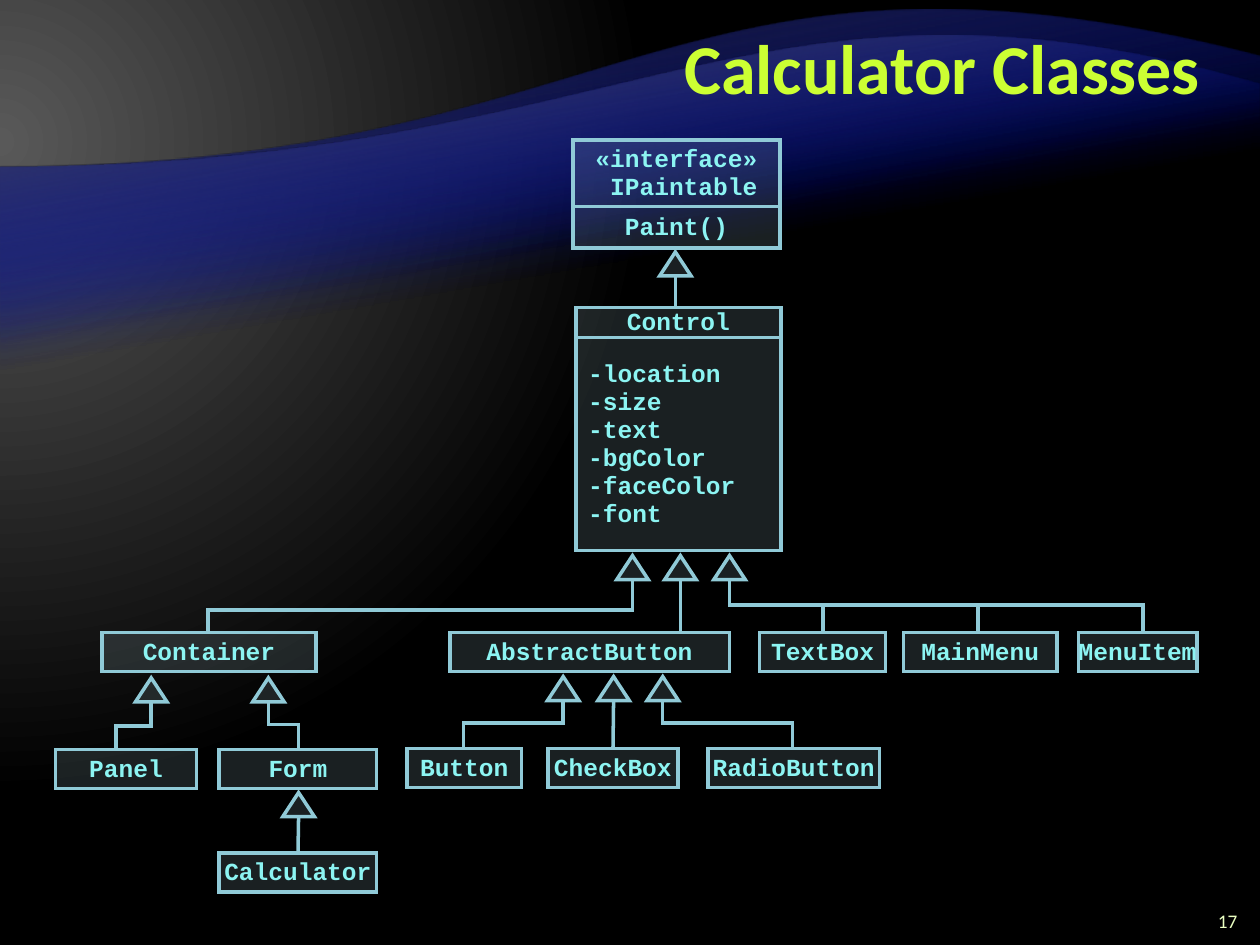
from lxml import etree
from pptx import Presentation
from pptx.dml.color import RGBColor
from pptx.enum.shapes import MSO_CONNECTOR, MSO_SHAPE
from pptx.enum.text import MSO_ANCHOR, PP_ALIGN
from pptx.oxml.ns import qn
from pptx.util import Inches, Pt

RECT, TRIANGLE = MSO_SHAPE.RECTANGLE, MSO_SHAPE.ISOSCELES_TRIANGLE
STRAIGHT = MSO_CONNECTOR.STRAIGHT
MIDDLE = MSO_ANCHOR.MIDDLE
LEFT, CENTER, RIGHT = PP_ALIGN.LEFT, PP_ALIGN.CENTER, PP_ALIGN.RIGHT

# Content: key -> (left, top, width, height, lines)
ROW_H, ROW1, ROW2, ROW3 = 0.31, 5.02, 5.95, 6.77
TITLE = "Calculator Classes "
PAGE = "17"
DETAILED = {
    "Paint()": (4.55, 1.64, 1.64, 0.33, ["Paint()"]),
    "IPaintable": (4.55, 1.11, 1.64, 0.53, ["«interface»", " IPaintable"]),
    "Fields": (4.57, 2.68, 1.63, 1.69,
               ["-location", "-size", "-text", "-bgColor", "-faceColor", "-font"]),
    "Control": (4.57, 2.44, 1.63, 0.24, ["Control"]),
}
# Single-line classes: name, left, top, width
SIMPLE = [
    ("Container", 0.81, ROW1, 1.7),
    ("AbstractButton", 3.57, ROW1, 2.22),
    ("TextBox", 6.03, ROW1, 1),
    ("MainMenu", 7.17, ROW1, 1.22),
    ("MenuItem", 8.56, ROW1, 0.94),
    ("Panel", 0.44, ROW2, 1.12),
    ("Form", 1.74, ROW2, 1.25),
    ("Button", 3.23, ROW2 - 0.01, 0.91),
    ("CheckBox", 4.35, ROW2 - 0.01, 1.03),
    ("RadioButton", 5.62, ROW2 - 0.01, 1.36),
    ("Calculator", 1.74, ROW3, 1.25),
]
CLASSES = DETAILED | {n: (x, y, w, ROW_H, [n]) for n, x, y, w in SIMPLE}

# Straight inheritance arrows: child, arrow centre x, arrow tip y
STRAIGHT_ARROWS = [("Control", 5.36, 2), ("AbstractButton", 5.4, 4.41),
                   ("CheckBox", 4.87, 5.37), ("Calculator", 2.37, 6.29)]
# Bent arrows: child, arrow centre x, arrow tip y, bend y, x where it meets the child
BENT_ARROWS = [
    ("Container", 5.02, 4.41, 4.84, 1.65),
    ("MenuItem", 5.79, 4.41, 4.8, 9.07),
    ("Panel", 1.2, 5.38, 5.76, 0.92),
    ("Form", 2.13, 5.38, 5.75, 2.37),
    ("Button", 4.47, 5.37, 5.74, 3.68),
    ("RadioButton", 5.26, 5.37, 5.74, 6.29),
]
BRANCHES = [("TextBox", 6.53), ("MainMenu", 7.76)]
BRANCH_Y = 4.8
HEAD_W, HEAD_H = 0.25, 0.19

# Background waves: Bezier points of the top edge, bottom y, top colour
WAVES = [
    ([(0, 1.33), (5, 1.33), (5.34, -0.75), (10, 0.45)], 6.53, "262626"),
    ([(0, 1.33), (5, 1.33), (5.98, -0.49), (10, 0.67)], 5.57, "595959"),
] * 2

THEME = {
    "title": ("Calibri", 40, "CCFF33", True),
    "page": ("Calibri", 11, "EBFFC2", False),
    "class": ("Courier New", 14, "8CF4F2", True),
    "line": "90CAD7", "line_w": 2, "fill": "B5DBE5", "fill_alpha": 15,
    "wave": "000D9E", "bg": [(0, "595959", 100), (83, "000000", 100)],
}


def rgb(code):
    return RGBColor.from_string(code)


def set_font(p, role):
    f = p.font
    f.name, size, color, f.bold = THEME[role]
    f.size = Pt(size)
    f.color.rgb = rgb(color)


def set_gradient(grad, stops, shade, rect=None, **attrs):
    """Rewrite a gradFill element with (position, colour, alpha) stops."""
    for child in list(grad):
        grad.remove(child)
    gs_list = etree.SubElement(grad, qn("a:gsLst"))
    for pos, color, alpha in stops:
        gs = etree.SubElement(gs_list, qn("a:gs"), pos=str(pos * 1000))
        clr = etree.SubElement(gs, qn("a:srgbClr"), val=color)
        if alpha < 100:
            etree.SubElement(clr, qn("a:alpha"), val=str(alpha * 1000))
    node = etree.SubElement(grad, qn(shade), **attrs)
    if rect:
        sides = {k: str(v * 1000) for k, v in zip("ltrb", rect)}
        etree.SubElement(node, qn("a:fillToRect"), **sides)


def style_line(sp):
    sp.line.color.rgb = rgb(THEME["line"])
    sp.line.width = Pt(THEME["line_w"])
    etree.SubElement(sp.element.spPr.find(qn("a:ln")), qn("a:miter"), lim="800000")


def add_glass(s, kind, x, y, w, h):
    sp = s.shapes.add_shape(kind, *map(Inches, (x, y, w, h)))
    sp.shadow.inherit = False
    sp.fill.solid()
    sp.fill.fore_color.rgb = rgb(THEME["fill"])
    clr = sp.element.spPr.find(qn("a:solidFill"))[0]
    etree.SubElement(clr, qn("a:alpha"), val=str(THEME["fill_alpha"] * 1000))
    style_line(sp)
    return sp


def add_class(s, x, y, w, h, lines):
    sp = add_glass(s, RECT, x, y, w, h)
    is_list = len(lines) > 2
    tf = sp.text_frame
    tf.word_wrap = is_list
    tf.vertical_anchor = MIDDLE
    tf.text = "\n".join(lines)
    for p in tf.paragraphs:
        p.alignment = LEFT if is_list else CENTER
        p.line_spacing = 0.95
        set_font(p, "class")
    return sp


def add_path(s, points, close=False):
    pts = [(Inches(x), Inches(y)) for x, y in points]
    builder = s.shapes.build_freeform(*pts[0])
    builder.add_line_segments(pts[1:], close=close)
    sp = builder.convert_to_shape()
    sp.shadow.inherit = False
    return sp


def add_line(s, x1, y1, x2, y2):
    c = s.shapes.add_connector(STRAIGHT, *map(Inches, (x1, y1, x2, y2)))
    style_line(c)
    etree.SubElement(c.element.spPr, qn("a:effectLst"))
    return c


def bezier(pts, steps=60):
    for i in range(steps + 1):
        t = i / steps
        weights = ((1 - t) ** 3, 3 * t * (1 - t) ** 2, 3 * t * t * (1 - t), t ** 3)
        yield tuple(sum(w * p[k] for w, p in zip(weights, pts)) for k in (0, 1))


def add_arrowhead(s, x, tip):
    add_glass(s, TRIANGLE, x - HEAD_W / 2, tip, HEAD_W, HEAD_H)
    return tip + HEAD_H


def main():
    prs = Presentation()
    prs.slide_width, prs.slide_height = Inches(10), Inches(7.5)
    s = prs.slides.add_slide(prs.slide_layouts[5])
    title = s.shapes.title

    # Background and waves, kept behind the title
    s.background.fill.gradient()
    set_gradient(s.element.find(".//" + qn("a:gradFill")), THEME["bg"],
                 "a:path", (20, 30, 135, 100), path="circle")
    for curve, bottom, color in WAVES:
        sp = add_path(s, [*bezier(curve), (10, bottom), (0, bottom)], close=True)
        sp.fill.gradient()
        set_gradient(sp.element.spPr.find(qn("a:gradFill")),
                     [(65, THEME["wave"], 0), (100, color, 100)],
                     "a:lin", ang=str(260 * 60000), scaled="0")
        sp.line.fill.background()
        title.element.addprevious(sp.element)

    # Title and page number
    title.left, title.top, title.width, title.height = map(Inches, (2, 0.08, 7.75, 1))
    page = s.shapes.add_textbox(*map(Inches, (9.42, 7.17, 0.5, 0.25)))
    for sp, text, role in ((title, TITLE, "title"), (page, PAGE, "page")):
        tf = sp.text_frame
        tf.word_wrap = True
        tf.text = text
        p = tf.paragraphs[0]
        p.alignment = RIGHT
        set_font(p, role)
    title.text_frame.vertical_anchor = MIDDLE
    title.text_frame.paragraphs[0].line_spacing = Pt(40)

    # Classes
    boxes = {name: add_class(s, *data) for name, data in CLASSES.items()}

    def drop_line(child, x, y):
        left, top, width = CLASSES[child][:3]
        c = add_line(s, x, y, x, top)
        if abs(left + width / 2 - x) < 0.01:
            c.end_connect(boxes[child], 0)

    # Inheritance arrows
    for child, x, tip in STRAIGHT_ARROWS:
        drop_line(child, x, add_arrowhead(s, x, tip))
    for child, x, tip, bend, end_x in BENT_ARROWS:
        base = add_arrowhead(s, x, tip)
        sp = add_path(s, [(x, base), (x, bend), (end_x, bend),
                          (end_x, CLASSES[child][1])])
        sp.fill.background()
        style_line(sp)
    for child, x in BRANCHES:
        drop_line(child, x, BRANCH_Y)

    prs.save("out.pptx")


if __name__ == "__main__":
    main()
